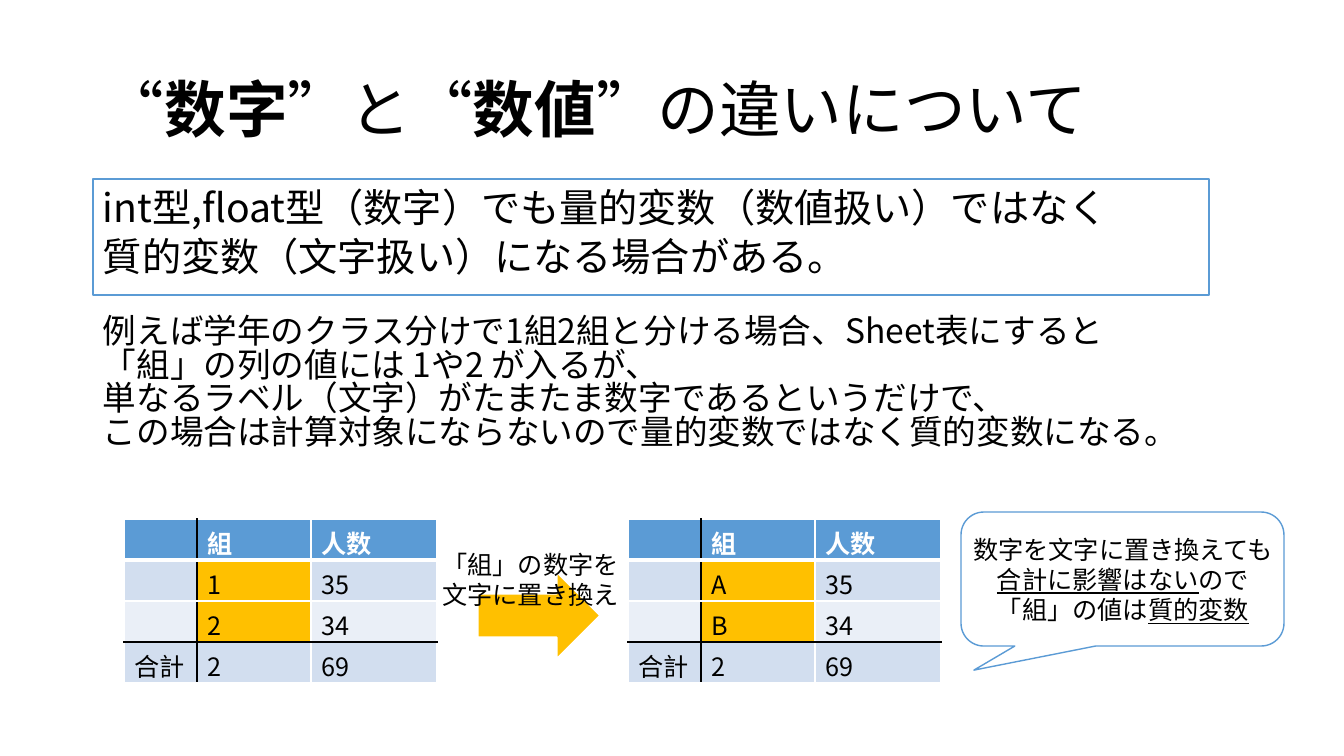
"""Build the slide on the difference between digits and numeric values."""
from lxml.etree import SubElement
from pptx import Presentation
from pptx.dml.color import RGBColor
from pptx.enum.shapes import MSO_SHAPE
from pptx.enum.text import MSO_ANCHOR, PP_ALIGN
from pptx.oxml.ns import qn
from pptx.util import Emu, Pt

PIXEL = 914400 / 100.8
FONT = "Noto Sans CJK JP"
BLACK = RGBColor(0x00, 0x00, 0x00)
WHITE = RGBColor(0xFF, 0xFF, 0xFF)
BLUE = RGBColor(0x5B, 0x9B, 0xD5)
ORANGE = RGBColor(0xFF, 0xC0, 0x00)
BAND_DARK = RGBColor(0xD2, 0xDE, 0xEF)
BAND_LIGHT = RGBColor(0xEA, 0xEF, 0xF7)

TITLE = [[("“", ""), ("数字", "bold"), ("”と“", ""), ("数値", "bold"), ("”の違いについて", "")]]
RULE = [
    [("int型,float型（数字）でも量的変数（数値扱い）ではなく", "")],
    [("質的変数（文字扱い）になる場合がある。", "")],
]
EXAMPLE = [
    [("例えば学年のクラス分けで1組2組と分ける場合、Sheet表にすると", "")],
    [("「組」の列の値には 1や2 が入るが、\v単なるラベル（文字）がたまたま数字であるというだけで、", "")],
    [("この場合は計算対象にならないので量的変数ではなく質的変数になる。", "")],
]
ARROW_LABEL = [[("「組」の数字を", "")], [("文字に置き換え", "")]]
CALLOUT = [
    [("数字を文字に置き換えても", "")],
    [("合計に影響はない", "underline"), ("ので", "")],
    [("「組」の値は", ""), ("質的変数", "underline")],
]
TABLES = [(124, ("1", "2")), (628, ("A", "B"))]
TABLE_TOP, ROW_HEIGHT = 519, 41
COLUMN_WIDTHS = [73, 114, 126]
ROW_FILLS = [BLUE, BAND_DARK, BAND_LIGHT, BAND_DARK]


def px(*lengths):
    return [Emu(round(length * PIXEL)) for length in lengths]


def add_text(slide, box, paragraphs, size, align=PP_ALIGN.LEFT, anchor=MSO_ANCHOR.TOP,
             line_spacing=1.0, space_before=0):
    frame = slide.shapes.add_textbox(*px(*box)).text_frame
    frame.word_wrap = True
    frame.vertical_anchor = anchor
    for index, runs in enumerate(paragraphs):
        paragraph = frame.paragraphs[0] if index == 0 else frame.add_paragraph()
        paragraph.alignment = align
        paragraph.line_spacing = line_spacing
        paragraph.space_before = Pt(space_before)
        for text, style in runs:
            if "\v" in text:
                first, text = text.split("\v")
                paragraph.add_run().text = first
                paragraph.add_line_break()
            run = paragraph.add_run()
            run.text = text
            if style:
                setattr(run.font, style, True)
        style_font(paragraph, size, BLACK)


def style_font(paragraph, size, color):
    font = paragraph.font
    font.size = Pt(size)
    font.name = FONT
    font.color.rgb = color
    for holder in [paragraph, *paragraph.runs]:
        properties = holder.font._element
        SubElement(properties, qn("a:ea"), typeface=FONT)


def add_shape(slide, kind, box, fill, line, width):
    shape = slide.shapes.add_shape(kind, *px(*box))
    shape.shadow.inherit = False
    if fill is None:
        shape.fill.background()
    else:
        shape.fill.solid()
        shape.fill.fore_color.rgb = fill
    shape.line.color.rgb = line
    shape.line.width = Pt(width)
    return shape


def set_borders(cell, row, column):
    sides = {
        "a:lnL": (BLACK if column == 1 else WHITE, 1),
        "a:lnR": (BLACK if column == 0 else WHITE, 1),
        "a:lnT": (BLACK if row == 3 else WHITE, 3 if row == 1 else 1),
        "a:lnB": (BLACK if row == 2 else WHITE, 3 if row == 0 else 1),
    }
    properties = cell._tc.get_or_add_tcPr()
    for position, (tag, (color, width)) in enumerate(sides.items()):
        line = SubElement(properties, qn(tag), w=str(Pt(width)))
        fill = SubElement(line, qn("a:solidFill"))
        SubElement(fill, qn("a:srgbClr"), val=str(color))
        properties.insert(position, line)


def add_class_table(slide, left, labels):
    rows = [("", "組", "人数"), ("", labels[0], "35"), ("", labels[1], "34"), ("合計", "2", "69")]
    box = (left, TABLE_TOP, sum(COLUMN_WIDTHS), ROW_HEIGHT * len(rows))
    table = slide.shapes.add_table(len(rows), len(COLUMN_WIDTHS), *px(*box)).table
    for column, width in zip(table.columns, px(*COLUMN_WIDTHS)):
        column.width = width
    for row, values in enumerate(rows):
        for column, value in enumerate(values):
            cell = table.cell(row, column)
            cell.text = value
            cell.fill.solid()
            is_label = column == 1 and row in (1, 2)
            cell.fill.fore_color.rgb = ORANGE if is_label else ROW_FILLS[row]
            paragraph = cell.text_frame.paragraphs[0]
            style_font(paragraph, 18, WHITE if row == 0 else BLACK)
            paragraph.font.bold = row == 0
            set_borders(cell, row, column)


presentation = Presentation()
presentation.slide_width, presentation.slide_height = px(1344, 756)
slide = presentation.slides.add_slide(presentation.slide_layouts[6])

arrow = add_shape(slide, MSO_SHAPE.DOWN_ARROW, (495, 554, 88, 123), ORANGE, WHITE, 1.5)
arrow.rotation = 270
add_text(slide, (93, 40, 1159, 146), TITLE, 44, anchor=MSO_ANCHOR.MIDDLE, line_spacing=0.9)
add_text(slide, (93, 312, 1159, 174), EXAMPLE, 24, line_spacing=0.83)
add_text(slide, (93, 186, 1159, 148), RULE, 28, line_spacing=0.83, space_before=7)
for left, labels in TABLES:
    add_class_table(slide, left, labels)
add_text(slide, (304, 544, 453, 72), ARROW_LABEL, 18, PP_ALIGN.CENTER)
callout = add_shape(slide, MSO_SHAPE.ROUNDED_RECTANGULAR_CALLOUT, (961, 512, 323, 134), WHITE, BLUE, 1)
for index, value in enumerate((-0.46, 0.68, 0.17)):
    callout.adjustments[index] = value
add_text(slide, (955, 529, 336, 102), CALLOUT, 18, PP_ALIGN.CENTER)
add_shape(slide, MSO_SHAPE.RECTANGLE, (93, 179, 1116, 116), None, BLUE, 1)

presentation.save("out.pptx")
